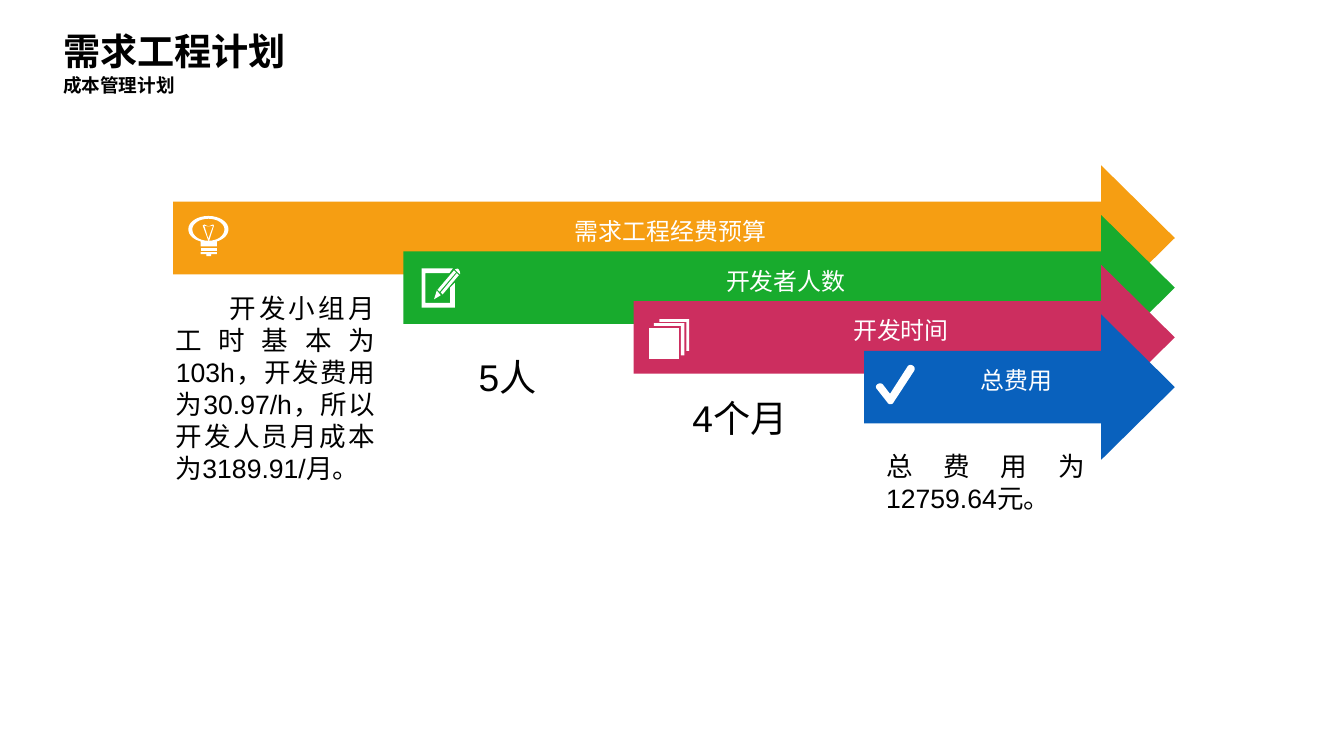
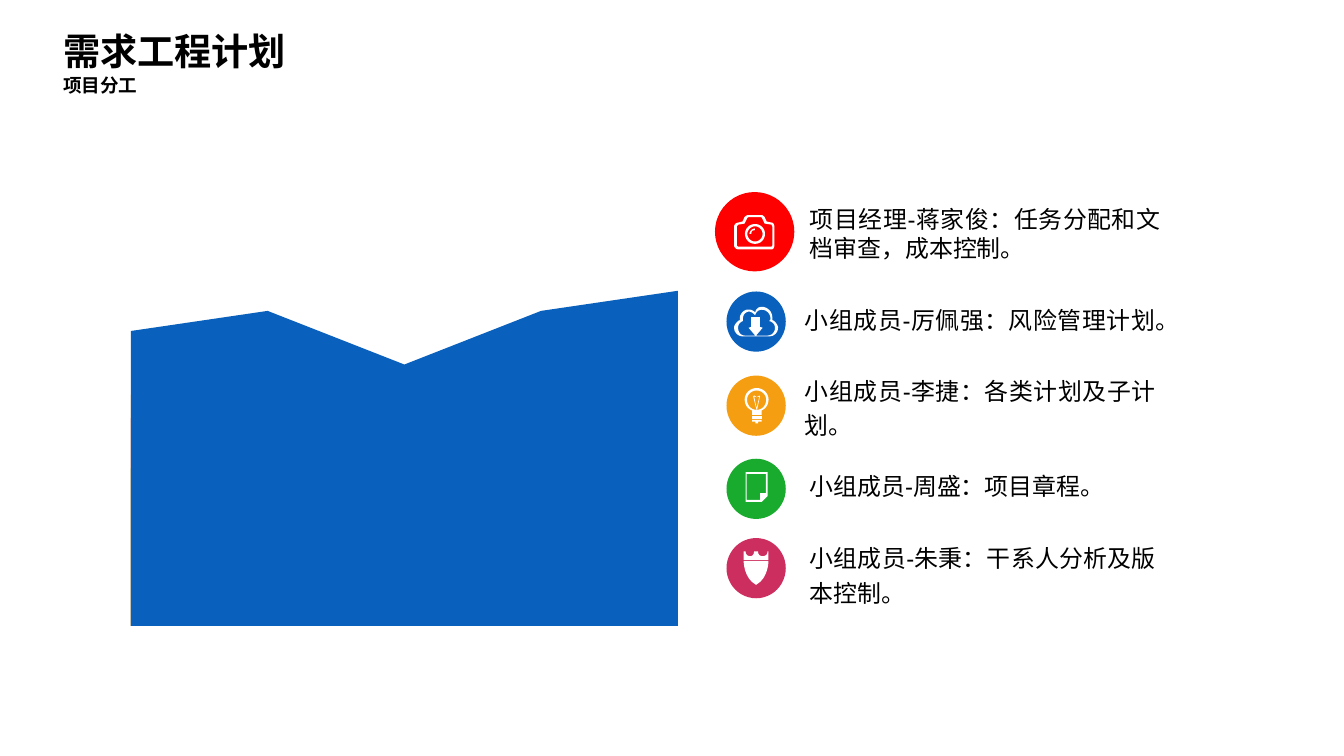
from dataclasses import dataclass

from lxml import etree
from pptx import Presentation
from pptx.chart import data as cd
from pptx.dml.color import RGBColor
from pptx.enum import chart as ch, shapes as sh, text as tx
from pptx.oxml import ns
from pptx.util import Inches, Pt

BLACK = RGBColor(0x00, 0x00, 0x00)
WHITE = RGBColor(0xFF, 0xFF, 0xFF)
BLUE = RGBColor(0x09, 0x61, 0xBD)
AMBER = RGBColor(0xF6, 0x9E, 0x12)
GREEN = RGBColor(0x18, 0xAB, 0x2D)
ROSE = RGBColor(0xCC, 0x2E, 0x5F)
RED = RGBColor(0xFF, 0x00, 0x00)
FONT = "Arial"
LEFT, CENTER, FULL = tx.PP_ALIGN.LEFT, tx.PP_ALIGN.CENTER, tx.PP_ALIGN.JUSTIFY
NONE, GROW = tx.MSO_AUTO_SIZE.NONE, tx.MSO_AUTO_SIZE.SHAPE_TO_FIT_TEXT
TOP, MIDDLE = tx.MSO_ANCHOR.TOP, tx.MSO_ANCHOR.MIDDLE
GRAIN = 1000  # freeform units to the inch

Box = tuple[float, float, float, float]

# Icon outlines on a 100 by 100 grid, one string for each part.
BULB = (
    "M 100 33 C 100 15 78 0 50 0 C 22 0 0 15 0 33 C 0 48 14 60 33 64 L 31 64 L 31 76 "
    "L 71 76 L 71 64 L 69 64 C 86 60 100 48 100 33 Z M 50 62 C 28 62 10 50 10 33 "
    "C 10 19 28 7 50 7 C 72 7 90 19 90 33 C 90 50 72 62 50 62 Z",
    "M 31 79 L 71 79 L 71 88 L 31 88 Z",
    "M 31 90 L 31 95 L 45 95 L 45 100 L 57 100 L 57 95 L 71 95 L 71 90 Z",
    "M 64 24 L 62 21 L 50 26 L 40 21 L 36 24 L 50 62 L 52 62 Z "
    "M 50 57 L 40 24 L 50 26 L 62 24 Z",
)
PENCIL = (
    "M 49 69 L 39 57 L 32 79 Z",
    "M 83 7 L 41 55 L 46 60 L 88 12 Z",
    "M 49 62 L 54 67 L 95 19 L 90 14 Z",
    "M 95 5 C 93 0 85 5 85 5 L 98 17 C 98 17 100 12 95 5 Z",
    "M 73 88 L 10 88 L 10 14 L 71 14 L 80 2 L 0 2 L 0 100 L 85 100 L 85 38 L 73 50 Z",
)
STACK = (
    "M 12 17 L 79 17 L 79 90 L 88 90 L 88 10 L 12 10 Z",
    "M 26 0 L 26 7 L 93 7 L 93 79 L 100 79 L 100 0 Z",
    "M 0 21 L 0 100 L 74 100 L 74 21 Z",
)
CHECK = (
    "M 36 100 C 33 100 31 98 29 95 L 3 62 C 0 59 0 52 5 50 C 10 46 17 48 19 52 L 36 74 "
    "L 79 7 C 81 2 88 0 93 4 C 98 7 98 12 96 17 L 45 95 C 43 98 41 100 38 100 Z",
)
CLOUD = (
    "M 87 45 C 87 42 87 39 87 35 C 87 16 76 0 63 0 C 50 0 48 19 48 19 C 48 19 41 6 28 10 "
    "C 20 13 13 26 13 39 L 13 45 C 7 48 0 61 0 71 C 0 87 9 100 20 100 L 80 100 "
    "C 91 100 100 87 100 71 C 100 61 93 48 87 45 Z "
    "M 76 97 L 50 97 L 65 71 L 59 68 L 59 35 L 39 35 L 39 68 L 33 71 L 48 97 L 24 97 "
    "C 15 97 9 84 9 71 C 9 61 13 52 20 48 L 20 42 C 20 29 24 19 33 16 "
    "C 41 16 48 29 48 29 C 48 29 50 10 63 10 C 74 10 83 23 83 42 L 80 48 "
    "C 89 52 93 61 93 71 C 93 84 87 97 76 97 Z",
)
PAGE = (
    "M 0 0 L 0 100 L 74 100 L 100 81 L 100 0 Z "
    "M 5 94 L 5 6 L 92 6 L 92 71 L 66 71 L 66 94 Z",
)
SHIELD = (
    "M 50 100 C 100 80 100 29 100 29 L 0 29 C 0 29 0 80 50 100 Z",
    "M 96 0 C 96 9 88 14 77 14 C 65 14 58 9 58 0 L 42 0 C 42 9 35 14 27 14 "
    "C 15 14 8 9 8 0 L 0 0 L 0 26 L 100 26 L 100 0 Z",
)
CAMERA = (
    "M 52 26 C 66 26 77 39 77 55 C 77 71 66 84 52 84 C 38 84 27 71 27 55 "
    "C 27 39 38 26 52 26 Z M 52 33 C 62 33 71 43 71 55 C 71 67 62 77 52 77 "
    "C 42 77 33 67 33 55 C 33 43 42 33 52 33 Z",
    "M 52 39 C 45 39 38 47 38 55 L 43 55 C 43 47 45 44 52 44 Z",
    "M 93 22 L 81 19 L 76 6 C 74 3 71 0 67 0 L 36 0 C 31 0 29 3 26 6 L 21 19 L 10 22 "
    "C 5 22 0 28 0 33 L 0 89 C 0 94 5 100 10 100 L 93 100 C 98 100 100 94 100 89 "
    "L 100 33 C 100 28 98 22 93 22 Z M 95 89 L 93 92 L 10 92 L 7 89 L 7 33 L 10 28 "
    "L 26 25 L 33 8 L 36 6 L 67 6 L 69 8 L 76 25 L 93 28 L 95 33 Z",
)


@dataclass
class Arrow:
    label: str
    color: RGBColor
    icon: tuple[str, ...]
    spot: Box


@dataclass
class Note:
    words: str
    box: Box
    size: int
    align: tx.PP_ALIGN
    space: float | None = None
    indent: float = 0


@dataclass
class Member:
    words: str
    box: Box
    color: RGBColor
    disc: Box
    icon: tuple[str, ...]
    spot: Box
    space: float | None = 1.2


ARROWS = [
    Arrow("需求工程经费预算", AMBER, BULB, (1.97, 2.26, 0.42, 0.42)),
    Arrow("开发者人数", GREEN, PENCIL, (4.41, 2.8, 0.41, 0.42)),
    Arrow("开发时间", ROSE, STACK, (6.79, 3.34, 0.42, 0.42)),
    Arrow("总费用", BLUE, CHECK, (9.16, 3.81, 0.42, 0.42)),
]
NOTES = [
    Note("开发小组月工时基本为103h，开发费用为30.97/h，所以开发人员月成本为3189.91/月。",
         (1.73, 3.01, 2.3, 2.12), 20, FULL, indent=0.56),
    Note("5人", (4.16, 3.56, 2.3, 0.67), 28, CENTER, 1.2),
    Note("4个月", (6.59, 3.99, 2.3, 0.67), 28, CENTER, 1.2),
    Note("总费用为12759.64元。", (9.16, 4.66, 2.3, 0.78), 20, FULL),
]
MEMBERS = [
    Member("项目经理-蒋家俊：任务分配和文档审查，成本控制。", (8.42, 2.11, 3.77, 0.66),
           RED, (7.48, 2.01, 0.83, 0.83), CAMERA, (7.68, 2.25, 0.42, 0.36), None),
    Member("小组成员-厉佩强：风险管理计划。", (8.37, 3.11, 3.77, 0.41),
           BLUE, (7.6, 3.05, 0.62, 0.63), CLOUD, (7.68, 3.21, 0.46, 0.31)),
    Member("小组成员-李捷：各类计划及子计划。", (8.37, 3.85, 3.77, 0.78),
           AMBER, (7.6, 3.93, 0.62, 0.63), BULB, (7.79, 4.06, 0.25, 0.37)),
    Member("小组成员-周盛：项目章程。", (8.42, 4.84, 3.77, 0.41),
           GREEN, (7.6, 4.8, 0.62, 0.63), PAGE, (7.8, 4.94, 0.23, 0.31)),
    Member("小组成员-朱秉：干系人分析及版本控制。", (8.42, 5.6, 3.72, 0.78),
           ROSE, (7.6, 5.63, 0.62, 0.63), SHIELD, (7.78, 5.77, 0.26, 0.35)),
]
SERIES = [
    ("Series 1", BLUE, (88, 94, 78, 94, 100)),
    ("Series 2", AMBER, (69, 56, 62, 66, 88)),
    ("Series 3", GREEN, (47, 47, 47, 59, 56)),
    ("Series 4", ROSE, (62, 38, 38, 28, 34)),
]


def inches(box: Box) -> list[Inches]:
    return [Inches(v) for v in box]


def write(shape, words: str, *, size: int, color: RGBColor = BLACK, bold: bool = False,
          align=LEFT, anchor=TOP, pad: Box = (0, 0, 0, 0), fit=GROW,
          space: float | None = None, indent: float = 0) -> None:
    frame = shape.text_frame
    frame.word_wrap = True
    frame.auto_size = fit
    frame.vertical_anchor = anchor
    (frame.margin_left, frame.margin_top,
     frame.margin_right, frame.margin_bottom) = inches(pad)
    para = frame.paragraphs[0]
    para.alignment = align
    if space:
        para.line_spacing = space
    if indent:
        para._p.get_or_add_pPr().set("indent", str(Inches(indent)))
    run = para.add_run()
    run.text = words
    font = run.font
    font.name, font.size, font.bold = FONT, Pt(size), bold
    font.color.rgb = color


def paint(shape, color: RGBColor) -> None:
    shape.shadow.inherit = False
    shape.fill.solid()
    shape.fill.fore_color.rgb = color
    shape.line.fill.background()


def trace(route: str) -> list[list[tuple[float, float]]]:
    """Turn an M/L/C/Z route into closed rings, with curves cut into short lines."""
    rings = []
    for part in route.split("M")[1:]:
        ring = []
        for step in part.replace("Z", "").replace("C", "|").replace("L", "|").split("|"):
            nums = [float(n) for n in step.split()]
            pts = list(zip(nums[::2], nums[1::2]))
            if len(pts) == 1:
                ring += pts
                continue
            knots = [ring[-1], *pts]
            for i in range(1, 9):
                t = i / 8
                mix = ((1 - t) ** 3, 3 * t * (1 - t) ** 2, 3 * t * t * (1 - t), t ** 3)
                ring.append(tuple(sum(m * k[a] for m, k in zip(mix, knots)) for a in (0, 1)))
        rings.append(ring)
    return rings


def outline(shapes, rings, color: RGBColor):
    """Draw rings of points, given in inches, as one filled shape."""
    rings = [[(x * GRAIN, y * GRAIN) for x, y in ring] for ring in rings]
    pen = shapes.build_freeform(*rings[0][0], scale=Inches(1) / GRAIN)
    for i, ring in enumerate(rings):
        if i:
            pen.move_to(*ring[0])
        pen.add_line_segments(ring[1:], close=True)
    shape = pen.convert_to_shape()
    paint(shape, color)
    return shape


def draw_icon(slide, icon: tuple[str, ...], spot: Box) -> None:
    x, y, w, h = spot
    shapes = slide.shapes.add_group_shape().shapes if len(icon) > 1 else slide.shapes
    for route in icon:
        rings = [[(x + w * a / 100, y + h * b / 100) for a, b in ring]
                 for ring in trace(route)]
        outline(shapes, rings, WHITE)


def add_text(slide, words: str, box: Box, **style) -> None:
    write(slide.shapes.add_textbox(*inches(box)), words, **style)


def add_page(deck, topic: str):
    slide = deck.slides.add_slide(deck.slide_layouts[5])
    title = slide.shapes.title
    title.left, title.top, title.width, title.height = inches((0.66, 0.29, 3.37, 0.47))
    write(title, "需求工程计划", size=28, bold=True, anchor=MIDDLE)
    add_text(slide, topic, (0.66, 0.77, 3.52, 0.24), size=14, bold=True, anchor=MIDDLE)
    return slide


def draw_arrow(slide, arrow: Arrow, rank: int) -> None:
    left, top = 1.81 + 2.41 * rank, 1.73 + 0.52 * rank
    neck, tip = 11.52, 12.29
    high, mid, low, end = (top + 0.38 * n for n in (1, 2, 3, 4))
    ring = [(left, high), (neck, high), (neck, top), (tip, mid),
            (neck, end), (neck, low), (left, low)]
    shape = outline(slide.shapes, [ring], arrow.color)
    write(shape, arrow.label, size=18, color=WHITE, align=CENTER, anchor=MIDDLE,
          pad=(0.59, 0.41, 0.66, 0.62), fit=NONE, space=1.2)


def draw_costs(deck) -> None:
    slide = add_page(deck, "成本管理计划")
    for note in NOTES:
        add_text(slide, note.words, note.box, size=note.size, align=note.align,
                 pad=(0.11, 0.05, 0.11, 0.05), space=note.space, indent=note.indent)
    for rank, arrow in enumerate(ARROWS):
        draw_arrow(slide, arrow, rank)
    for arrow in ARROWS:
        draw_icon(slide, arrow.icon, arrow.spot)


def draw_chart(slide) -> None:
    data = cd.CategoryChartData()
    data.categories = ["1", "2", "3", "4", "5"]
    for name, _, vals in SERIES:
        data.add_series(name, vals)
    chart = slide.shapes.add_chart(
        ch.XL_CHART_TYPE.AREA, *inches((1.25, 2.63, 5.96, 4)), data).chart
    chart.has_legend = chart.has_title = False
    chart.font.name, chart.font.size, chart.font.color.rgb = FONT, Pt(18), BLACK
    axis = chart.value_axis
    axis.minimum_scale, axis.maximum_scale = 0, 109.5
    axis.has_major_gridlines = False
    axis.visible = chart.category_axis.visible = False
    plot = chart.plots[0]
    plot.vary_by_categories = False
    for series, (_, color, _) in zip(plot.series, SERIES):
        series.format.fill.solid()
        series.format.fill.fore_color.rgb = color
    # The areas reach both edges of a plot that nearly fills the frame.
    area = chart._chartSpace.chart.plotArea
    area.find(".//" + ns.qn("c:crossBetween")).set("val", "midCat")
    for old in area.findall(ns.qn("c:layout")):
        area.remove(old)
    layout = etree.Element(ns.qn("c:layout"))
    manual = etree.SubElement(layout, ns.qn("c:manualLayout"))
    for tag, val in (("layoutTarget", "inner"), ("xMode", "edge"), ("yMode", "edge"),
                     ("x", "0.02"), ("y", "0.02"), ("w", "0.96"), ("h", "0.96")):
        etree.SubElement(manual, ns.qn("c:" + tag)).set("val", val)
    area.insert(0, layout)


def draw_team(deck) -> None:
    slide = add_page(deck, "项目分工")
    draw_chart(slide)
    for member in MEMBERS:
        disc = slide.shapes.add_shape(sh.MSO_SHAPE.OVAL, *inches(member.disc))
        paint(disc, member.color)
        draw_icon(slide, member.icon, member.spot)
        add_text(slide, member.words, member.box, size=18, align=FULL,
                 pad=(0.05, 0.03, 0.05, 0.03), space=member.space)


def main() -> None:
    deck = Presentation()
    deck.slide_width, deck.slide_height = Inches(14.06), Inches(7.91)
    draw_costs(deck)
    draw_team(deck)
    deck.save("out.pptx")


if __name__ == "__main__":
    main()
